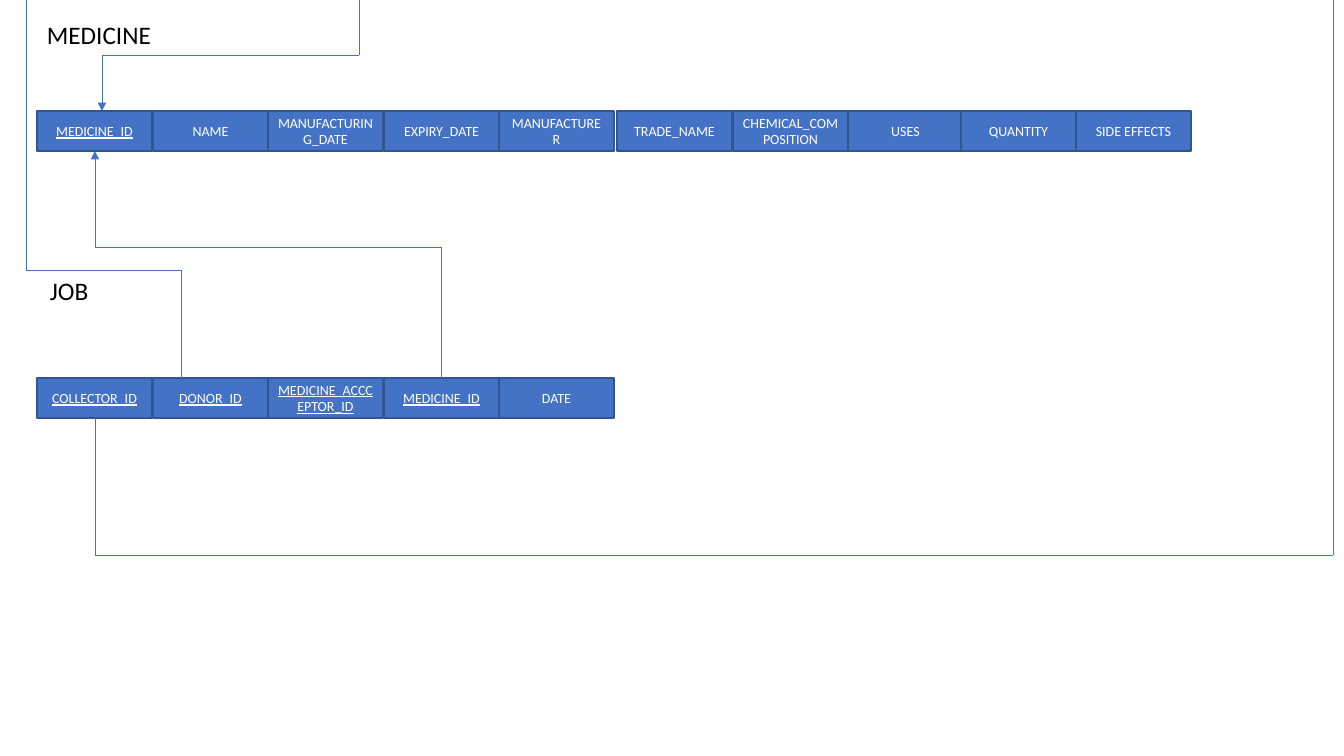
import pptx
import pptx.util
import pptx.dml.color
import pptx.enum.shapes
import pptx.enum.text
import pptx.oxml.ns
import lxml.etree

PIXEL = 914400 / 100.8
BLUE = pptx.dml.color.RGBColor(0x44, 0x72, 0xC4)
DARK_BLUE = pptx.dml.color.RGBColor(0x32, 0x54, 0x91)
WHITE = pptx.dml.color.RGBColor(0xFF, 0xFF, 0xFF)
BLACK = pptx.dml.color.RGBColor(0, 0, 0)


def emu(*pixels):
    return [pptx.util.Emu(round(pixel * PIXEL)) for pixel in pixels]


def write(box, text, size, color):
    para = box.text_frame.paragraphs[0]
    para.text = text
    font = para.runs[0].font
    font.name = "Calibri"
    font.size = pptx.util.Pt(size)
    font.color.rgb = color
    return para


deck = pptx.Presentation()
deck.slide_width, deck.slide_height = emu(1344, 756)
page = deck.slides.add_slide(deck.slide_layouts[6])

for title, left, top, width in [("MEDICINE", 37, 14, 129), ("JOB", 40, 270, 91)]:
    box = page.shapes.add_textbox(*emu(left, top, width, 40))
    box.text_frame.word_wrap = True
    box.text_frame.auto_size = pptx.enum.text.MSO_AUTO_SIZE.SHAPE_TO_FIT_TEXT
    write(box, title, 18, BLACK)

column_lefts = [37, 153, 268, 384, 499, 617, 733, 848, 961, 1076]
tables = [
    (111, ["MEDICINE_ID", "NAME", "MANUFACTURING_DATE", "EXPIRY_DATE", "MANUFACTURER",
           "TRADE_NAME", "CHEMICAL_COMPOSITION", "USES", "QUANTITY", "SIDE EFFECTS"], 1),
    (378, ["COLLECTOR_ID", "DONOR_ID", "MEDICINE_ACCCEPTOR_ID", "MEDICINE_ID", "DATE"], 4),
]
for top, fields, key_count in tables:
    for index, (left, field) in enumerate(zip(column_lefts, fields)):
        box = page.shapes.add_shape(
            pptx.enum.shapes.MSO_SHAPE.RECTANGLE, *emu(left, top, 115, 40))
        box.shadow.inherit = False
        box.fill.solid()
        box.fill.fore_color.rgb = BLUE
        box.line.color.rgb = DARK_BLUE
        box.line.width = pptx.util.Pt(1)
        box.text_frame.word_wrap = True
        box.text_frame.vertical_anchor = pptx.enum.text.MSO_ANCHOR.MIDDLE
        para = write(box, field, 10, WHITE)
        para.alignment = pptx.enum.text.PP_ALIGN.CENTER
        if index < key_count:
            para.runs[0].font.underline = True

routes = [
    ([(441, 378), (441, 247), (95, 247), (95, 151)], True),
    ([(181, 378), (181, 270), (26, 270), (26, 0)], False),
    ([(95, 418), (95, 555), (1333, 555), (1333, 0)], False),
    ([(359, 0), (359, 55), (102, 55), (102, 111)], True),
]
for points, has_arrow in routes:
    for start, end in zip(points, points[1:]):
        link = page.shapes.add_connector(
            pptx.enum.shapes.MSO_CONNECTOR.STRAIGHT, *emu(*start, *end))
        link.line.color.rgb = BLUE
        link.line.width = pptx.util.Pt(0.5)
        properties = link._element.spPr
        lxml.etree.SubElement(properties, pptx.oxml.ns.qn("a:effectLst"))
        if has_arrow and end == points[-1]:
            outline = properties.find(pptx.oxml.ns.qn("a:ln"))
            lxml.etree.SubElement(outline, pptx.oxml.ns.qn("a:tailEnd"), type="triangle")

deck.save("out.pptx")
